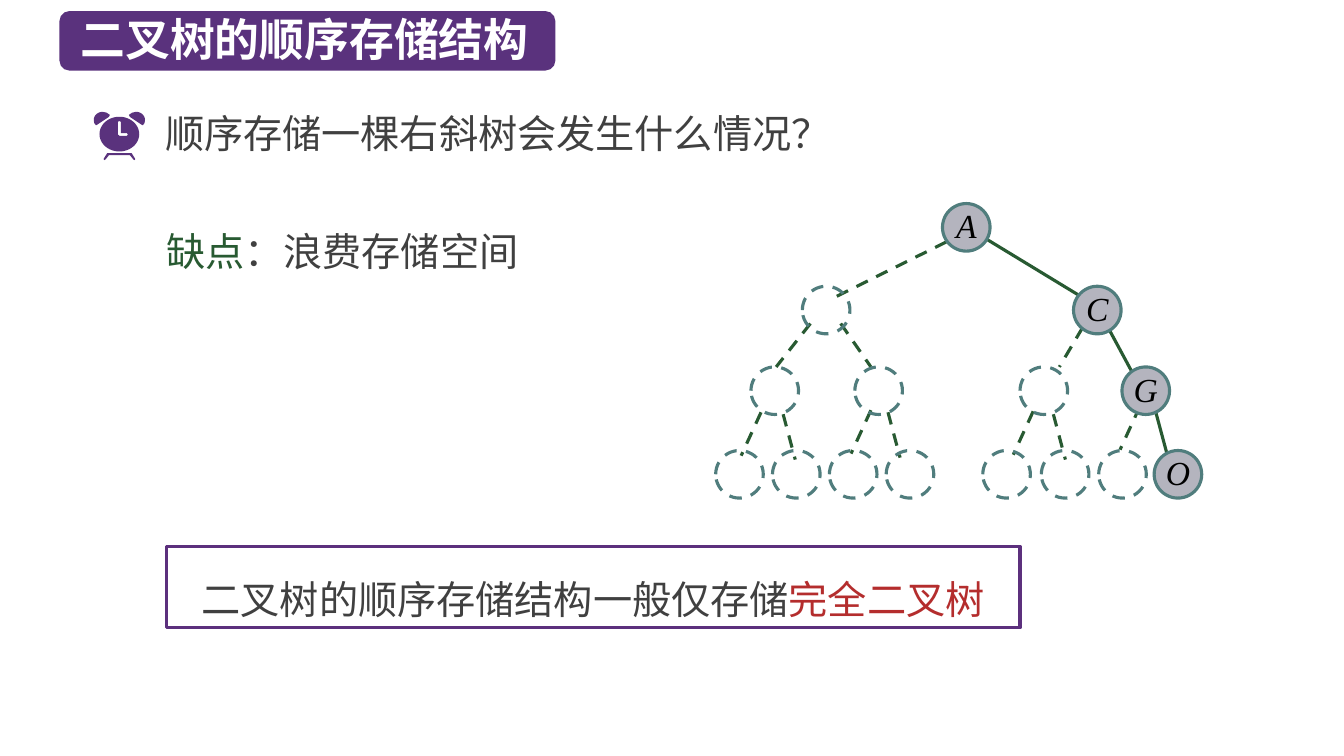
from math import cos, pi, sin

from lxml.etree import SubElement
from pptx import Presentation
from pptx.dml.color import RGBColor
from pptx.enum.dml import MSO_LINE_DASH_STYLE as Dash
from pptx.enum.shapes import MSO_CONNECTOR as Connector, MSO_SHAPE as Shape
from pptx.enum.text import MSO_ANCHOR as Anchor, MSO_AUTO_SIZE as AutoSize, PP_ALIGN as Align
from pptx.oxml.ns import qn
from pptx.util import Pt

PURPLE, FRAME = "5A327D", "5C307D"
GREEN, TEAL, GRAY = "285A32", "507D7D", "B4B4BE"
WHITE, BLACK, INK, RED = "FFFFFF", "000000", "404040", "B42D2D"
HAN, LATIN = "Noto Sans CJK SC", "Times New Roman"


def color(value):
    return RGBColor.from_string(value)


def arc(cx, cy, rx, ry, start, end, steps):
    """Points on an ellipse between two angles given in degrees."""
    angles = [(start + (end - start) * i / steps) * pi / 180 for i in range(steps + 1)]
    return [(cx + rx * cos(a), cy + ry * sin(a)) for a in angles]


def mirrored(points, axis):
    return [(2 * axis - x, y) for x, y in points]


class TreeSlide:
    stroke = 2.25
    node_size = 34

    def __init__(self, deck):
        self.shapes = deck.slides.add_slide(deck.slide_layouts[6]).shapes

    def paint(self, shape, fill=None, line=None, dashed=False):
        shape.shadow.inherit = False
        if fill:
            shape.fill.solid()
            shape.fill.fore_color.rgb = color(fill)
        else:
            shape.fill.background()
        if line:
            self.draw_line(shape.line, line, dashed)
        else:
            shape.line.fill.background()

    def draw_line(self, line, hue, dashed):
        line.color.rgb = color(hue)
        line.width = Pt(self.stroke)
        if dashed:
            line.dash_style = Dash.DASH

    def set_text(self, shape, runs, size, font=HAN, frame_format=None,
                 paragraph_format=None, **run_format):
        """Fill a shape with one paragraph of (text, colour) runs."""
        frame = shape.text_frame
        paragraph = frame.paragraphs[0]
        defaults = {"word_wrap": True, "vertical_anchor": Anchor.TOP}
        for name, value in {**defaults, **(frame_format or {})}.items():
            setattr(frame, name, value)
        for name, value in {"alignment": Align.LEFT, **(paragraph_format or {})}.items():
            setattr(paragraph, name, value)
        for text, hue in runs:
            run = paragraph.add_run()
            run.text = text
            run.font.color.rgb = color(hue)
            for name, value in {"size": Pt(size), "name": font, **run_format}.items():
                setattr(run.font, name, value)
            SubElement(run.font._element, qn("a:ea"), typeface=HAN)

    def block(self, kind, box, **paint):
        shape = self.shapes.add_shape(kind, *map(Pt, box))
        self.paint(shape, **paint)
        return shape

    def label(self, box, runs, size, **run_format):
        self.set_text(self.shapes.add_textbox(*map(Pt, box)), runs, size,
                      frame_format={"auto_size": AutoSize.SHAPE_TO_FIT_TEXT}, **run_format)

    def outline(self, *contours):
        """Draw closed contours as one purple shape; later ones cut holes."""
        scaled = [[(Pt(x), Pt(y)) for x, y in contour] for contour in contours]
        builder = self.shapes.build_freeform(*scaled[0][0])
        builder.add_line_segments(scaled[0][1:])
        for hole in scaled[1:]:
            builder.move_to(*hole[0])
            builder.add_line_segments(hole[1:])
        self.paint(builder.convert_to_shape(), PURPLE)

    def edge(self, start, end, dashed=True):
        link = self.shapes.add_connector(Connector.STRAIGHT, *map(Pt, start + end))
        self.draw_line(link.line, GREEN, dashed)
        SubElement(link._element.spPr, qn("a:effectLst"))

    def node(self, left, top, letter=None):
        circle = self.block(Shape.OVAL, (left, top, self.node_size, self.node_size),
                            fill=GRAY if letter else None, line=TEAL, dashed=not letter)
        if letter:
            margins = {f"margin_{side}": 0 for side in ("left", "top", "right", "bottom")}
            self.set_text(circle, [(letter, BLACK)], 24, LATIN, margins,
                          {"alignment": Align.CENTER, "line_spacing": Pt(25)}, italic=True)

    def clock(self):
        axis = 85.3
        ear = arc(73.4, 85.7, 6.4, 5.8, 270, 180, 10) + [
            (67.3, 87.8), (68.4, 89.3), (69.1, 89.3), (77.8, 83.5), (78.5, 82.1), (76.2, 80.5)]
        foot = [(axis, 109.4), (76.6, 109.4), (74.2, 113.2), (74, 113.9), (74.6, 114.4),
                (75.4, 113.9), (77.8, 110.9), (axis, 110.9)]
        hands = [(84.2, 87), (85.3, 86.4), (86.3, 87), (86.3, 95.1), (90.7, 95.1),
                 (91.4, 96), (90.7, 97), (85.3, 97), (84.2, 96)]
        self.outline(foot + mirrored(foot, axis)[::-1])
        for half in (ear, mirrored(ear, axis)):
            self.outline(half)
        self.outline(arc(axis, 95.8, 14.2, 12.4, 0, 360, 48), hands)


def draw_tree(slide):
    solid = [((702, 169.2), (775.4, 213.8)), ((792.7, 236.2), (813.6, 275)),
             ((825.8, 295.2), (834.5, 327.6))]
    upper = [((676, 172.8), (597.6, 211.7)), ((578.9, 231.1), (554.4, 262.1)),
             ((600.5, 231.1), (622.1, 262.1)), ((773.3, 234), (756.7, 262.1))]
    to_left_leaf = [(543.6, 294.5), (622.1, 293), (738, 293.8), (814.3, 290.2)]
    to_right_leaf = [(559.4, 295.9), (634.3, 294.5), (752.4, 295.9)]
    for start, end in solid:
        slide.edge(start, end, dashed=False)
    for start, end in upper:
        slide.edge(start, end)
    for starts, dx, dy in ((to_left_leaf, -14.2, 31), (to_right_leaf, 8.64, 32.4)):
        for x, y in starts:
            slide.edge((x, y), (x + dx, y + dy))

    levels = [
        (145.4, [(673.2, "A")]),
        (204.5, [(573.1, None), (766.8, "C")]),
        (262.1, [(536.4, None), (610.6, None), (728.6, None), (801.4, "G")]),
        (321.8, [(511.2 + 40.6 * i, None) for i in range(4)]
         + [(702, None), (743.8, None), (784.8, None), (824.4, "O")]),
    ]
    for top, nodes in levels:
        for left, letter in nodes:
            slide.node(left, top, letter)


def main():
    deck = Presentation()
    deck.slide_width, deck.slide_height = Pt(960), Pt(540)
    slide = TreeSlide(deck)
    slide.block(Shape.ROUNDED_RECTANGLE, (42.5, 7.9, 354.2, 42.5), fill=PURPLE)
    slide.label((50.4, 5, 341.3, 46.1), [("二叉树的顺序存储结构", WHITE)], 32, bold=True)
    slide.clock()
    slide.label((110.9, 74.9, 522.7, 41), [("顺序存储一棵右斜树会发生什么情况？", INK)], 28)
    slide.label((111.6, 159.1, 334.1, 41), [("缺点", GREEN), ("：浪费存储空间", INK)], 28)
    draw_tree(slide)
    conclusion = slide.block(Shape.RECTANGLE, (118.8, 390.2, 609.8, 58.3), line=FRAME)
    slide.set_text(conclusion, [("二叉树的顺序存储结构一般仅存储", INK), ("完全二叉树", RED)],
                   28, LATIN,
                   {"vertical_anchor": Anchor.MIDDLE, "auto_size": AutoSize.SHAPE_TO_FIT_TEXT},
                   {"alignment": Align.CENTER, "line_spacing": 1.5})
    deck.save("out.pptx")


if __name__ == "__main__":
    main()
